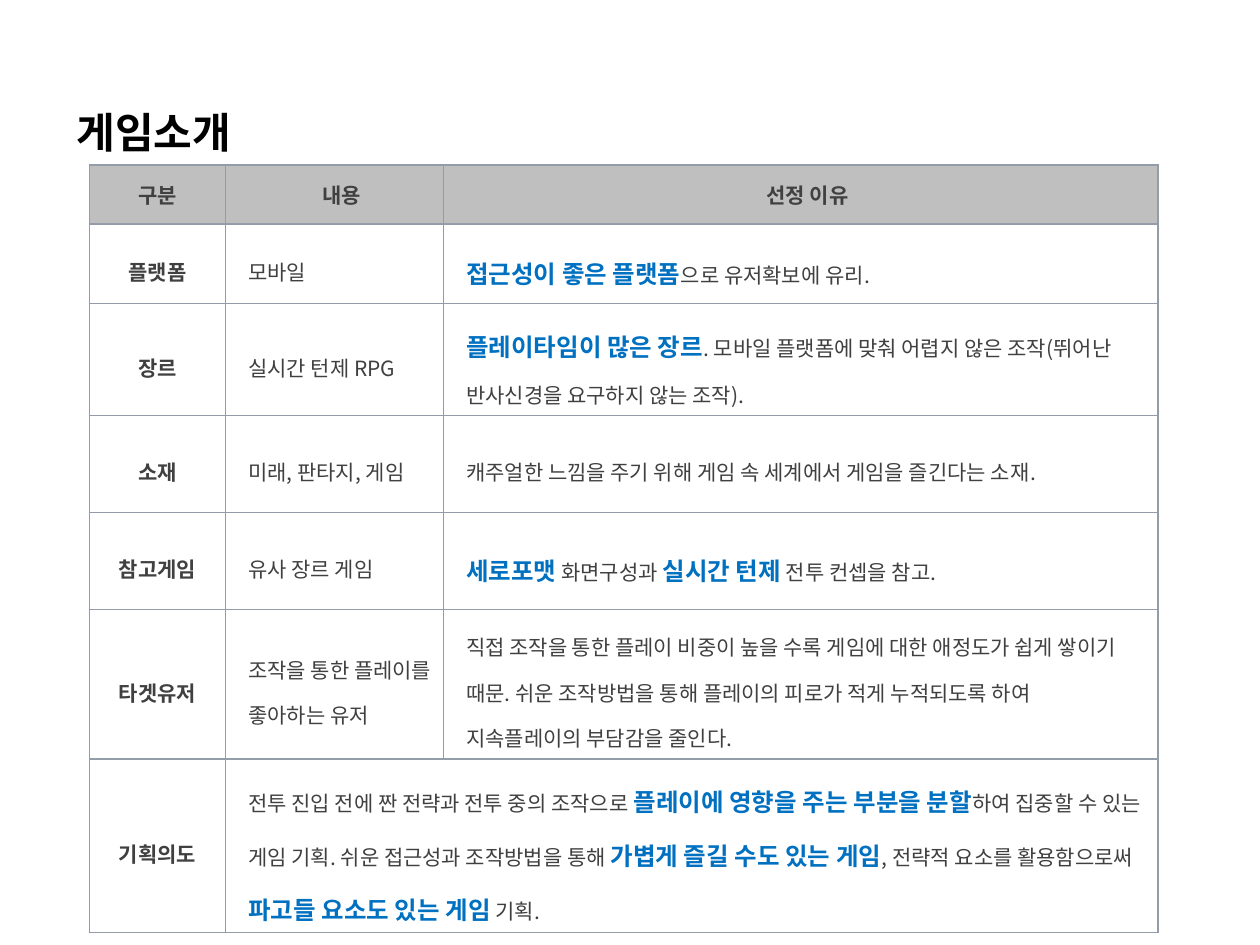
from lxml import etree
from pptx import Presentation
from pptx.dml.color import RGBColor
from pptx.enum import text
from pptx.oxml import parse_xml
from pptx.oxml.ns import nsdecls, qn
from pptx.util import Inches, Pt

FONT = "Noto Sans CJK KR"
BLACK = RGBColor(0x00, 0x00, 0x00)
GRAY = RGBColor(0x40, 0x40, 0x40)
BLUE = RGBColor(0x00, 0x70, 0xC0)
HEADER_FILL = RGBColor(0xBF, 0xBF, 0xBF)
BORDER = RGBColor(0x92, 0x9D, 0xA9)

COLUMN_WIDTHS = [1.08, 1.73, 5.67]
ROW_HEIGHTS = [0.47, 0.63, 0.77, 0.77, 0.77, 0.83, 0.83]

# Words between asterisks are emphasized.
ROWS = [
    ["구분", "내용", "선정 이유"],
    ["플랫폼", "모바일", "*접근성이 좋은 플랫폼*으로 유저확보에 유리."],
    ["장르", "실시간 턴제 RPG",
     "*플레이타임이 많은 장르*. 모바일 플랫폼에 맞춰 어렵지 않은 조작"
     "(뛰어난 반사신경을 요구하지 않는 조작)."],
    ["소재", "미래, 판타지, 게임",
     "캐주얼한 느낌을 주기 위해 게임 속 세계에서 게임을 즐긴다는 소재."],
    ["참고게임", "유사 장르 게임",
     "*세로포맷* 화면구성과 *실시간 턴제* 전투 컨셉을 참고."],
    ["타겟유저", "조작을 통한 플레이를 좋아하는 유저",
     "직접 조작을 통한 플레이 비중이 높을 수록 게임에 대한 애정도가 쉽게 쌓이기 때문. "
     "쉬운 조작방법을 통해 플레이의 피로가 적게 누적되도록 하여 지속플레이의 부담감을 줄인다."],
    ["기획의도",
     "전투 진입 전에 짠 전략과 전투 중의 조작으로 *플레이에 영향을 주는 부분을 분할*하여 "
     "집중할 수 있는 게임 기획. 쉬운 접근성과 조작방법을 통해 *가볍게 즐길 수도 있는 게임*, "
     "전략적 요소를 활용함으로써 *파고들 요소도 있는 게임* 기획."],
]


def add_run(paragraph, words, size, color, bold):
    run = paragraph.add_run()
    run.text = words
    run.font.size = Pt(size)
    run.font.bold = bold
    run.font.color.rgb = color
    run.font.name = FONT
    etree.SubElement(run.font._element, qn("a:ea"), typeface=FONT)


def add_borders(cell):
    properties = cell._tc.get_or_add_tcPr()
    for side in ("lnL", "lnR", "lnT", "lnB"):
        properties.append(parse_xml(
            f'<a:{side} {nsdecls("a")} w="{Pt(1)}"><a:solidFill>'
            f'<a:srgbClr val="{BORDER}"/></a:solidFill></a:{side}>'))


presentation = Presentation()
presentation.slide_width = Inches(10)
presentation.slide_height = Inches(7.5)
slide = presentation.slides.add_slide(presentation.slide_layouts[6])

table = slide.shapes.add_table(
    len(ROW_HEIGHTS), len(COLUMN_WIDTHS), Inches(0.71), Inches(1.31),
    Inches(sum(COLUMN_WIDTHS)), Inches(sum(ROW_HEIGHTS))).table
for column, width in zip(table.columns, COLUMN_WIDTHS):
    column.width = Inches(width)
for row, height in zip(table.rows, ROW_HEIGHTS):
    row.height = Inches(height)
last_row = len(ROWS) - 1
table.cell(last_row, 1).merge(table.cell(last_row, 2))

for cell in table.iter_cells():
    add_borders(cell)
    cell.fill.background()

for row_index, row in enumerate(ROWS):
    for column_index, content in enumerate(row):
        cell = table.cell(row_index, column_index)
        is_header = row_index == 0
        is_label = is_header or column_index == 0
        cell.vertical_anchor = text.MSO_ANCHOR.MIDDLE
        cell.margin_left = Inches(0.07 if column_index == 0 else 0.18)
        cell.margin_right = Inches(0.07)
        cell.margin_top = cell.margin_bottom = Inches(0.05)
        paragraph = cell.text_frame.paragraphs[0]
        if is_header:
            cell.fill.solid()
            cell.fill.fore_color.rgb = HEADER_FILL
        else:
            paragraph.line_spacing = 1.5
        if is_label:
            paragraph.alignment = text.PP_ALIGN.CENTER
        for part_index, words in enumerate(content.split("*")):
            if not words:
                continue
            if part_index % 2:
                add_run(paragraph, words, 14, BLUE, True)
            else:
                add_run(paragraph, words, 12, GRAY, is_label)

title = slide.shapes.add_textbox(Inches(0.51), Inches(0.6), Inches(1.95), Inches(0.63))
title.text_frame.word_wrap = True
title.text_frame.auto_size = text.MSO_AUTO_SIZE.SHAPE_TO_FIT_TEXT
paragraph = title.text_frame.paragraphs[0]
paragraph.line_spacing = 1.5
add_run(paragraph, "게임소개", 24, BLACK, True)

presentation.save("out.pptx")
